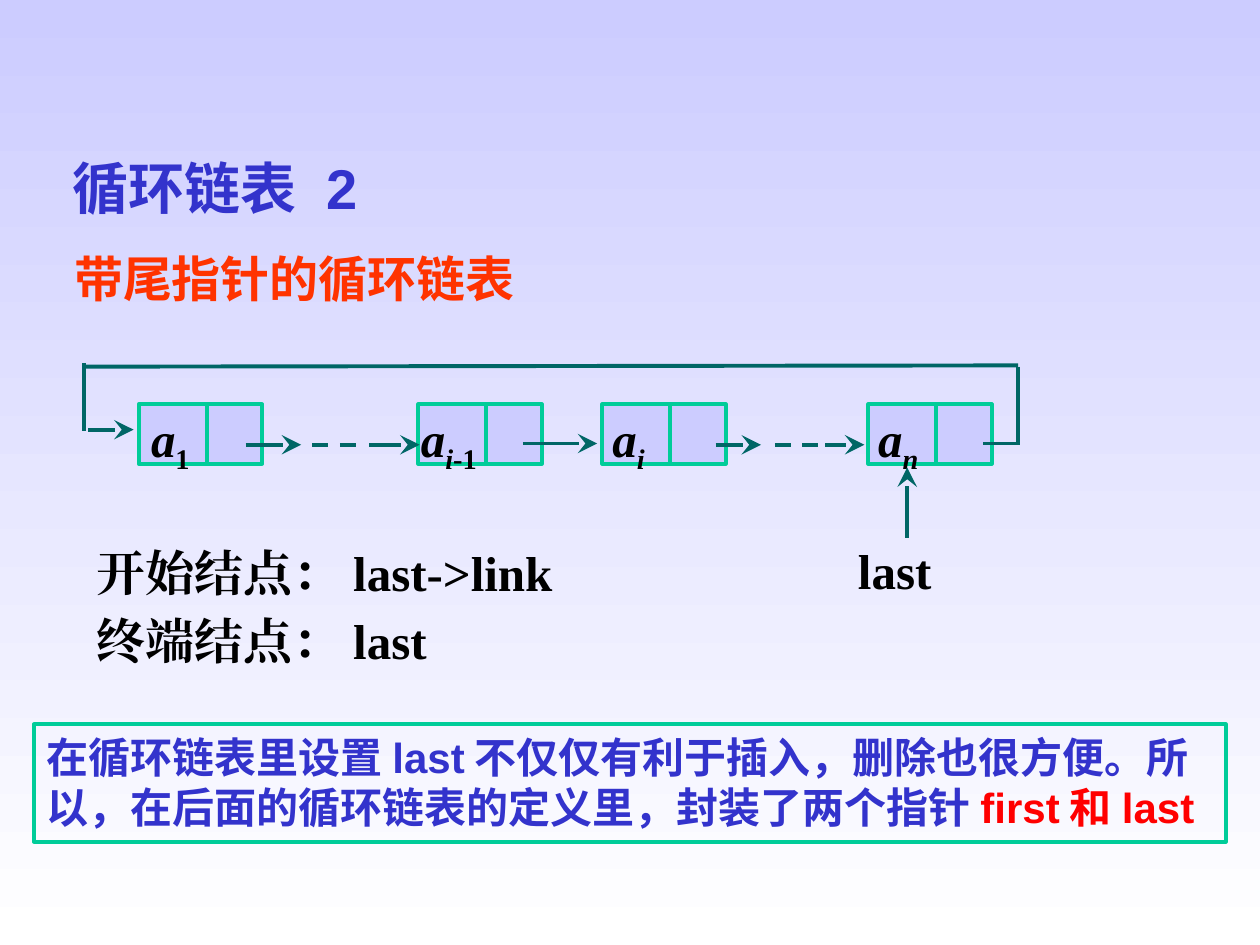
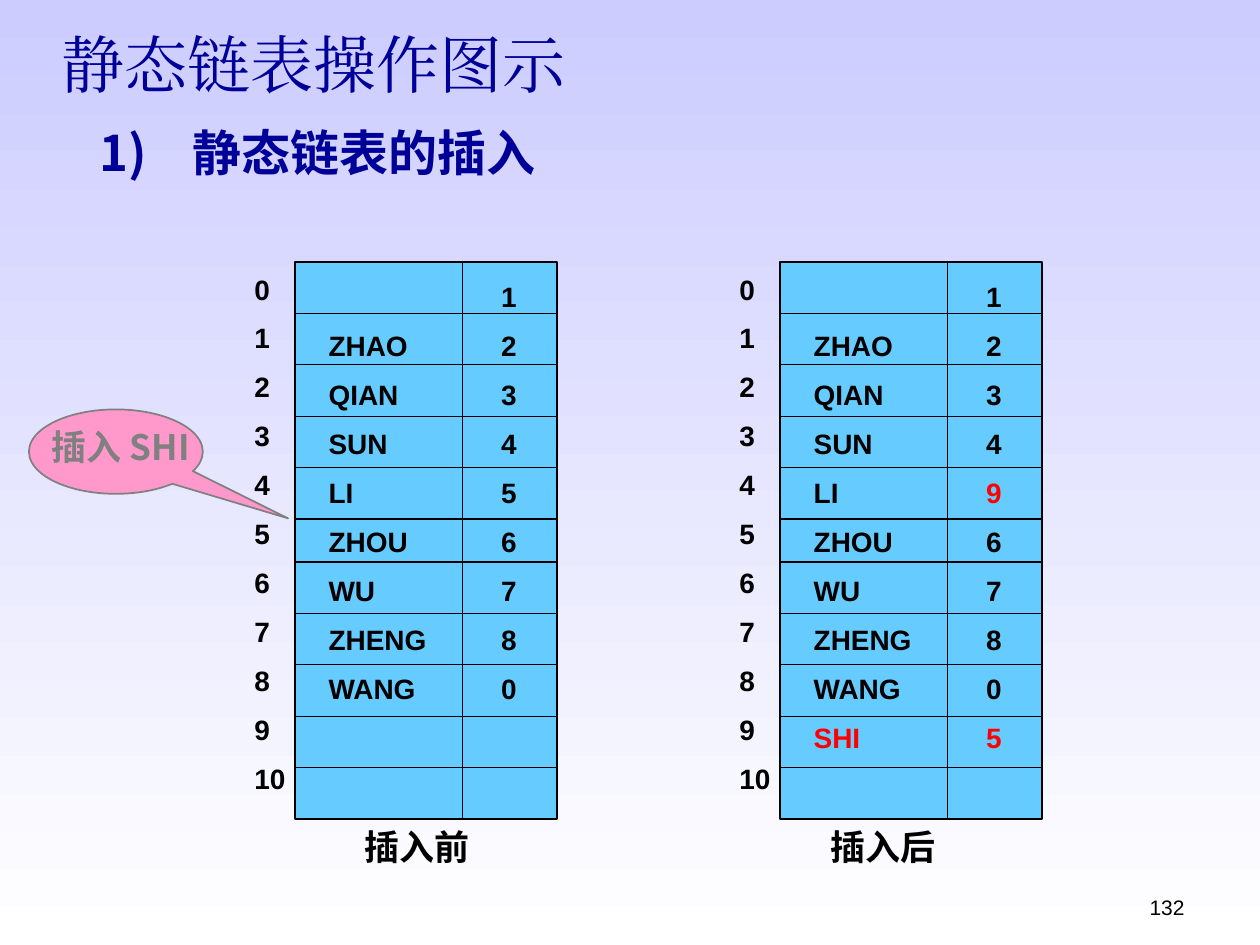
from lxml import etree
from pptx import Presentation
from pptx.dml.color import RGBColor
from pptx.enum.dml import MSO_LINE
from pptx.enum.shapes import MSO_CONNECTOR, MSO_SHAPE
from pptx.enum.text import MSO_ANCHOR, PP_ALIGN
from pptx.oxml.ns import qn
from pptx.util import Inches, Pt

# Shared colours
SKY = RGBColor(0xCC, 0xCC, 0xFF)
WHITE = RGBColor(0xFF, 0xFF, 0xFF)
BLACK = RGBColor(0, 0, 0)
TEAL = RGBColor(0, 0x66, 0x66)
GREEN = RGBColor(0, 0xCC, 0x99)
BLUE = RGBColor(0x33, 0x33, 0xCC)
NAVY = RGBColor(0, 0, 0x99)
ORANGE = RGBColor(0xFF, 0x33, 0)
RED = RGBColor(0xFF, 0, 0)
CYAN = RGBColor(0x66, 0xCC, 0xFF)
PINK = RGBColor(0xFF, 0x99, 0xCC)
GRAY = RGBColor(0x80, 0x80, 0x80)

# Shared fonts
SERIF, SANS, CJK = "Times New Roman", "Arial", "Noto Sans CJK SC"

# The slide is a grid of 10 columns by 7.5 rows of square cells
SLIDE_W, SLIDE_H = Inches(10), Inches(7.5)
CELL = SLIDE_W // 10
INSETS = (0.1, 0.05, 0.1, 0.05)


def cells(*values):
    return [round(v * CELL) for v in values]


def new_slide(prs):
    s = prs.slides.add_slide(prs.slide_layouts[6])
    fill = s.background.fill
    fill.gradient()
    fill.gradient_angle = 270
    for stop, color in zip(fill.gradient_stops, (SKY, WHITE)):
        stop.color.rgb = color
    return s


# Text
def add_run(p, text, size, font, color=BLACK, bold=True, italic=False,
            sub=False, shadow=False):
    r = p.add_run()
    r.text = text
    r.font.size, r.font.bold, r.font.italic = Pt(size), bold, italic
    r.font.color.rgb = color
    rPr = r.font._element
    if sub:
        rPr.set("baseline", "-25000")
    if shadow:
        effects = etree.SubElement(rPr, qn("a:effectLst"))
        outer = etree.SubElement(effects, qn("a:outerShdw"), blurRad="0",
                                 dist="35921", dir="2700000")
        etree.SubElement(outer, qn("a:srgbClr"), val="808080")
    r.font.name = font
    etree.SubElement(rPr, qn("a:ea"), typeface=font)


def add_tab(p, pos, align="l"):
    tabs = etree.SubElement(p._p.get_or_add_pPr(), qn("a:tabLst"))
    etree.SubElement(tabs, qn("a:tab"), pos=str(cells(pos)[0]), algn=align)


def write(sp, paragraphs, anchor=MSO_ANCHOR.TOP, align=PP_ALIGN.LEFT,
          insets=INSETS, wrap=True, gap=0, leading=None, tab=None):
    """Fill a shape; each paragraph is a list of (text, style) runs."""
    tf = sp.text_frame
    tf.word_wrap, tf.vertical_anchor = wrap, anchor
    (tf.margin_left, tf.margin_top,
     tf.margin_right, tf.margin_bottom) = cells(*insets)
    for i, runs in enumerate(paragraphs):
        p = tf.add_paragraph() if i else tf.paragraphs[0]
        p.alignment = align
        if leading:
            p.line_spacing = Pt(leading)
        if i:
            p.space_before = Pt(gap)
        if tab:
            add_tab(p, *tab)
        for text, style in runs:
            add_run(p, text, **style)


def add_text(s, box, paragraphs, **layout):
    write(s.shapes.add_textbox(*cells(*box)), paragraphs, **layout)


def add_label(s, box, text, align=PP_ALIGN.LEFT, tab=None, **style):
    add_text(s, box, [[(text, style)]], anchor=MSO_ANCHOR.MIDDLE,
             align=align, tab=tab)


# Shapes and lines
def add_box(s, box, line, width, fill=None, kind=MSO_SHAPE.RECTANGLE):
    sp = s.shapes.add_shape(kind, *cells(*box))
    sp.shadow.inherit = False
    if fill is None:
        sp.fill.background()
    else:
        sp.fill.solid()
        sp.fill.fore_color.rgb = fill
    sp.line.color.rgb, sp.line.width = line, Pt(width)
    return sp


def add_line(s, ends, color=TEAL, width=2.25, arrow=False, dash=False):
    c = s.shapes.add_connector(MSO_CONNECTOR.STRAIGHT, *cells(*ends))
    c.line.color.rgb, c.line.width = color, Pt(width)
    if dash:
        c.line.dash_style = MSO_LINE.DASH
    if arrow:
        etree.SubElement(c.line._get_or_add_ln(), qn("a:tailEnd"),
                         type="stealth", w="lg", len="lg")
    etree.SubElement(c._element.spPr, qn("a:effectLst"))


# List node: a data cell with a subscripted name, and a link cell
def add_node(s, x, inset, *subscripts):
    y, w, h, split = 3.21, 0.98, 0.47, 0.54
    base = dict(size=28, font=SERIF)
    runs = [("a", dict(base, italic=True))]
    runs += [(t, dict(base, sub=True, italic=t.isalpha())) for t in subscripts]
    sp = add_box(s, (x, y, w, h), GREEN, 2.25, SKY)
    write(sp, [runs], insets=(inset, 0.03, 0, 0), wrap=False)
    add_line(s, (x + split, y, x + split, y + h), GREEN)


# Static list: index column, names and links over a ruled block
def add_static_list(s, x, records, changed=()):
    y, w, h, split, rows = 2.08, 2.08, 4.42, 1.33, 11
    short_row, short_h = 5, 0.34
    row_h = (h - short_h) / (rows - 1)
    add_box(s, (x, y, w, h), BLACK, 0.75, CYAN)
    for i in range(1, rows):
        line_y = y + i * row_h - (row_h - short_h if i > short_row else 0)
        add_line(s, (x, line_y, x + w, line_y), BLACK, 0.75)
    add_line(s, (x + split, y, x + split, y + h), BLACK, 0.75)

    base = dict(size=16, font=SANS)
    add_text(s, (x - 0.42, y + 0.03, 0.58, 4.38),
             [[(str(i), base)] for i in range(rows)], gap=8.8)
    lines = []
    for name, link in records:
        name_color = RED if name in changed else BLACK
        link_color = RED if (name, link) in changed or name in changed else BLACK
        lines.append([(name + "\t", dict(base, color=name_color)),
                      (str(link), dict(base, color=link_color))])
    add_text(s, (x + 0.17, y + 0.09, 1.75, 4.04), lines, gap=8.8,
             tab=(1.43, "ctr"))


def circular_list_slide(prs):
    s = new_slide(prs)
    add_label(s, (0.48, 1.17, 4.92, 0.63), "循环链表 2", size=32, font=SANS,
              color=BLUE, shadow=True)
    add_label(s, (0.49, 1.92, 4.11, 0.57), "带尾指针的循环链表", size=28,
              font=SANS, color=ORANGE)

    # Nodes
    add_node(s, 1.1, 0.1, "1")
    add_node(s, 3.32, 0.02, "i", "-1")
    add_node(s, 4.78, 0.08, "i")
    add_node(s, 6.89, 0.08, "n")

    # Links between nodes, with the skipped nodes dashed
    link_y = 3.53
    for x1, x2 in ((1.95, 2.39), (2.93, 3.33), (5.68, 6.04), (6.55, 6.86)):
        add_line(s, (x1, link_y, x2, link_y), arrow=True)
    add_line(s, (4.15, 3.52, 4.74, 3.52), arrow=True)
    for x1, x2 in ((2.48, 2.83), (6.15, 6.49)):
        add_line(s, (x1, link_y, x2, link_y), dash=True)

    # Way back from the last node to the first
    for ends in ((8.07, 3.52, 7.8, 3.52), (8.08, 2.91, 8.08, 3.53),
                 (0.67, 2.91, 8.08, 2.9), (0.67, 2.88, 0.67, 3.42)):
        add_line(s, ends)
    add_line(s, (0.7, 3.41, 1.06, 3.41), arrow=True)

    # Tail pointer
    base = dict(size=28, font=SERIF)
    add_line(s, (7.2, 4.27, 7.2, 3.71), arrow=True)
    add_text(s, (6.81, 4.29, 0.83, 0.51), [[("last", base)]],
             insets=(0, 0, 0, 0))

    # Notes under the diagram
    shaded = dict(base, shadow=True)
    add_text(s, (0.67, 4.26, 5.82, 1.27),
             [[("开始结点：last->link", shaded)], [("终端结点：last", shaded)]],
             gap=5.6, leading=33.3)
    note = dict(size=24, font=SANS, color=BLUE)
    write(add_box(s, (0.27, 5.75, 9.46, 0.93), GREEN, 2.25),
          [[("在循环链表里设置last不仅仅有利于插入，删除也很方便。所以，"
             "在后面的循环链表的定义里，封装了两个指针", note),
            ("first和last", dict(note, color=RED))]], leading=29)


def static_list_slide(prs):
    s = new_slide(prs)
    add_label(s, (0.39, 0.25, 7.2, 0.5), "静态链表操作图示", size=36,
              font=SERIF, color=NAVY, bold=False)
    add_label(s, (0.69, 0.92, 4.7, 0.57), "1)\t静态链表的插入", tab=(0.74,),
              size=28, font=CJK, color=NAVY)

    # Lists before and after the insertion
    names = ["", "ZHAO", "QIAN", "SUN", "LI", "ZHOU", "WU", "ZHENG", "WANG"]
    before = list(zip(names, [1, 2, 3, 4, 5, 6, 7, 8, 0]))
    after = [(n, 9 if n == "LI" else v) for n, v in before] + [("SHI", 5)]
    add_static_list(s, 2.34, before)
    add_static_list(s, 6.19, after, changed=("SHI", ("LI", 9)))
    for x, caption in ((2.61, "插入前"), (6.31, "插入后")):
        add_label(s, (x, 6.5, 1.4, 0.43), caption, PP_ALIGN.CENTER,
                  size=20, font=CJK)

    # Callout
    sp = add_box(s, (0.23, 3.25, 1.38, 0.67), GRAY, 1, PINK,
                 MSO_SHAPE.OVAL_CALLOUT)
    sp.adjustments[0], sp.adjustments[1] = 0.99, 0.79
    add_label(s, (0.31, 3.33, 1.46, 0.43), "插入SHI", size=20, font=CJK,
              color=GRAY)

    # Page number
    add_text(s, (7.17, 6.83, 2.33, 0.52),
             [[("132", dict(size=12, font=SANS, bold=False))]],
             anchor=MSO_ANCHOR.BOTTOM, align=PP_ALIGN.RIGHT)


def main():
    prs = Presentation()
    prs.slide_width, prs.slide_height = SLIDE_W, SLIDE_H
    circular_list_slide(prs)
    static_list_slide(prs)
    prs.save("out.pptx")


if __name__ == "__main__":
    main()
